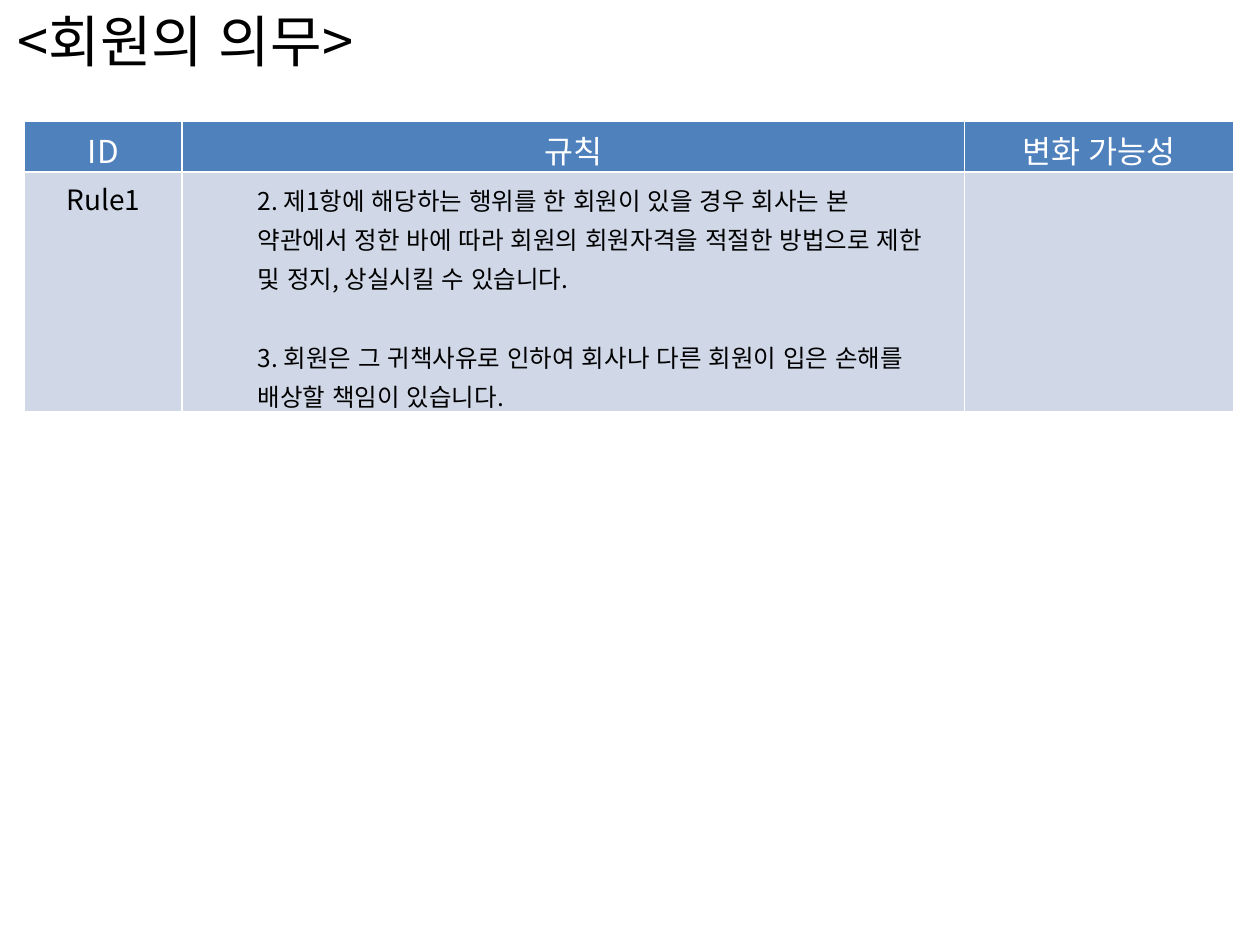
from dataclasses import dataclass

import lxml.etree
import pptx
import pptx.dml.color
import pptx.enum.lang
import pptx.enum.text
import pptx.oxml.ns
import pptx.util

FONT = "Noto Sans CJK KR"
COLORS = {"text": "000000", "white": "FFFFFF", "header": "4F81BD", "body": "D0D8E8"}
CENTER = pptx.enum.text.PP_ALIGN.CENTER
LEFT = pptx.enum.text.PP_ALIGN.LEFT
TOP = pptx.enum.text.MSO_ANCHOR.TOP
MIDDLE = pptx.enum.text.MSO_ANCHOR.MIDDLE
COLUMN_WIDTHS = (90, 447, 154)
BORDER_WIDTH = 1


@dataclass
class RowStyle:
    height: float
    fill: str
    text_color: str
    anchor: pptx.enum.text.MSO_ANCHOR


@dataclass
class CellText:
    text: str
    size: float
    alignment: pptx.enum.text.PP_ALIGN = CENTER
    indent: float = 0
    line_spacing: float = 1.0
    paragraph_gap: float = 0
    right_margin: float = 7.2


HEADER = RowStyle(29, "header", "white", MIDDLE)
BODY = RowStyle(137, "body", "text", TOP)

RULES = (
    "2. 제1항에 해당하는 행위를 한 회원이 있을 경우 회사는 본 약관에서 정한 바에 따라 "
    "회원의 회원자격을 적절한 방법으로 제한 및 정지, 상실시킬 수 있습니다.\n"
    "3. 회원은 그 귀책사유로 인하여 회사나 다른 회원이 입은 손해를 배상할 책임이 있습니다."
)

TABLE_ROWS = (
    (HEADER, [CellText(label, 18) for label in ("ID", "규칙", "변화 가능성")]),
    (BODY, [CellText("Rule1", 16), CellText(RULES, 14, LEFT, 36, 1.1, 22.3, 20), CellText("", 16)]),
)


def rgb(name: str) -> pptx.dml.color.RGBColor:
    return pptx.dml.color.RGBColor.from_string(COLORS[name])


def format_runs(paragraph, size: float, color: str) -> None:
    for run in paragraph.runs:
        run.font.size = pptx.util.Pt(size)
        run.font.name = FONT
        run.font.language_id = pptx.enum.lang.MSO_LANGUAGE_ID.KOREAN
        run.font.color.rgb = rgb(color)
        east_asian = lxml.etree.SubElement(run.font._element, pptx.oxml.ns.qn("a:ea"))
        east_asian.set("typeface", FONT)


def add_borders(cell) -> None:
    properties = cell._tc.get_or_add_tcPr()
    for side in "LRTB":
        line = lxml.etree.SubElement(properties, pptx.oxml.ns.qn(f"a:ln{side}"))
        line.set("w", str(pptx.util.Pt(BORDER_WIDTH)))
        fill = lxml.etree.SubElement(line, pptx.oxml.ns.qn("a:solidFill"))
        color = lxml.etree.SubElement(fill, pptx.oxml.ns.qn("a:srgbClr"))
        color.set("val", COLORS["white"])


def fill_cell(cell, content: CellText, style: RowStyle) -> None:
    add_borders(cell)
    cell.fill.solid()
    cell.fill.fore_color.rgb = rgb(style.fill)
    cell.vertical_anchor = style.anchor
    cell.margin_bottom = pptx.util.Pt(0)
    cell.margin_right = pptx.util.Pt(content.right_margin)
    cell.text_frame.text = content.text
    for index, paragraph in enumerate(cell.text_frame.paragraphs):
        paragraph.alignment = content.alignment
        paragraph.line_spacing = content.line_spacing
        if content.indent:
            paragraph.level = 1
            paragraph._p.get_or_add_pPr().set("marL", str(pptx.util.Pt(content.indent)))
        if index:
            paragraph.space_before = pptx.util.Pt(content.paragraph_gap)
        format_runs(paragraph, content.size, style.text_color)


def add_title(slide, text: str) -> None:
    shape = slide.shapes.add_textbox(
        pptx.util.Pt(3), pptx.util.Pt(0), pptx.util.Pt(232.5), pptx.util.Pt(46)
    )
    shape.text_frame.word_wrap = False
    shape.text_frame.auto_size = pptx.enum.text.MSO_AUTO_SIZE.SHAPE_TO_FIT_TEXT
    shape.text_frame.text = text
    format_runs(shape.text_frame.paragraphs[0], 32, "text")


def add_rule_table(slide) -> None:
    height = sum(style.height for style, _ in TABLE_ROWS)
    table = slide.shapes.add_table(
        len(TABLE_ROWS), len(COLUMN_WIDTHS),
        pptx.util.Pt(14), pptx.util.Pt(69.2),
        pptx.util.Pt(sum(COLUMN_WIDTHS)), pptx.util.Pt(height),
    ).table
    for column, width in zip(table.columns, COLUMN_WIDTHS):
        column.width = pptx.util.Pt(width)
    for row, (style, contents) in zip(table.rows, TABLE_ROWS):
        row.height = pptx.util.Pt(style.height)
        for cell, content in zip(row.cells, contents):
            fill_cell(cell, content, style)


def main() -> None:
    presentation = pptx.Presentation()
    presentation.slide_width = pptx.util.Pt(720)
    presentation.slide_height = pptx.util.Pt(540)
    slide = presentation.slides.add_slide(presentation.slide_layouts[6])

    # Heading
    add_title(slide, "<회원의 의무>")

    # Member duties
    add_rule_table(slide)

    presentation.save("out.pptx")


if __name__ == "__main__":
    main()
